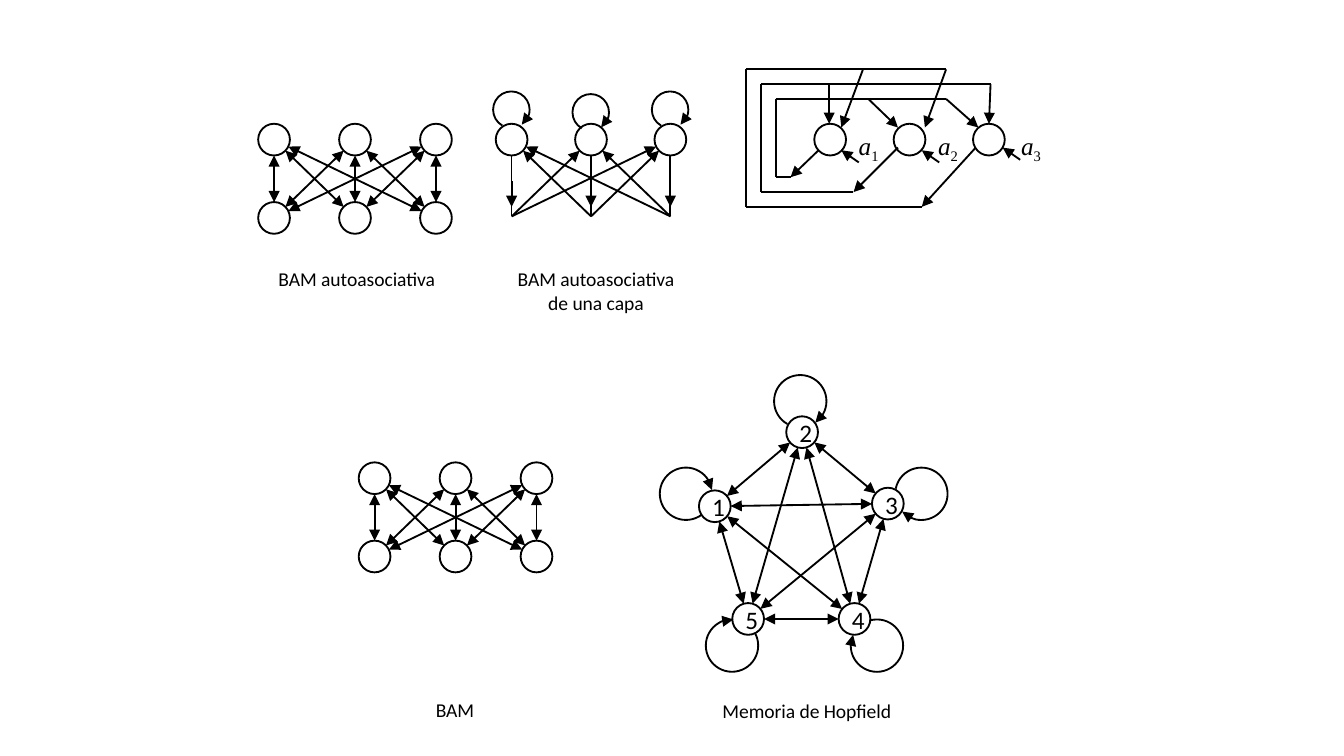
from dataclasses import dataclass
from itertools import combinations, pairwise, product
from math import hypot

from lxml import etree
from pptx import Presentation
from pptx.dml.color import RGBColor
from pptx.enum.shapes import MSO_CONNECTOR, MSO_SHAPE
from pptx.enum.text import MSO_AUTO_SIZE, PP_ALIGN
from pptx.oxml.ns import qn
from pptx.util import Cm, Pt

LINE = MSO_CONNECTOR.STRAIGHT
OVAL = MSO_SHAPE.OVAL
ARC = MSO_SHAPE.ARC
LEFT = PP_ALIGN.LEFT
MID = PP_ALIGN.CENTER
GROW = MSO_AUTO_SIZE.SHAPE_TO_FIT_TEXT

Point = tuple[float, float]


@dataclass(frozen=True)
class Theme:
    ink: RGBColor = RGBColor(0, 0, 0)
    sans: str = "Calibri"
    serif: str = "Times New Roman"
    small: float = 10.5
    large: float = 13.5
    stroke: float = 1
    thin: float = 0.75


@dataclass(frozen=True)
class Node:
    x: float
    y: float
    size: float = 0.6

    @property
    def center(self) -> Point:
        return self.x + self.size / 2, self.y + self.size / 2

    def edge(self, goal: Point) -> Point:
        cx, cy = self.center
        dx, dy = goal[0] - cx, goal[1] - cy
        part = self.size / 2 / hypot(dx, dy)
        return cx + dx * part, cy + dy * part


@dataclass(frozen=True)
class Loop:
    x: float
    y: float
    size: float
    start: float = 71.78
    end: float = 33


@dataclass(frozen=True)
class Label:
    text: str
    x: float
    y: float
    w: float
    h: float
    wrap: bool = False


THEME = Theme()


def ink(shape, width: float, head: bool = False, tail: bool = False) -> None:
    shape.line.color.rgb = THEME.ink
    shape.line.width = Pt(width)
    ln = shape._element.spPr.get_or_add_ln()
    for tag, used in (("a:headEnd", head), ("a:tailEnd", tail)):
        if used:
            etree.SubElement(ln, qn(tag)).set("type", "triangle")


def draw_line(slide, a: Point, b: Point, head: bool = False,
              tail: bool = False, width: float = THEME.stroke) -> None:
    line = slide.shapes.add_connector(LINE, *(Cm(v) for v in (*a, *b)))
    ink(line, width, head, tail)
    etree.SubElement(line._element.spPr, qn("a:effectLst"))


def draw_round(slide, kind, x: float, y: float, size: float, tail: bool = False):
    shape = slide.shapes.add_shape(kind, Cm(x), Cm(y), Cm(size), Cm(size))
    shape.shadow.inherit = False
    shape.fill.background()
    ink(shape, THEME.stroke, tail=tail)
    return shape


def draw_node(slide, node: Node) -> None:
    draw_round(slide, OVAL, node.x, node.y, node.size)


def draw_loop(slide, loop: Loop) -> None:
    arc = draw_round(slide, ARC, loop.x, loop.y, loop.size, tail=True)
    arc.adjustments[0] = loop.start
    arc.adjustments[1] = loop.end


def draw_link(slide, a: Node, b: Node) -> None:
    draw_line(slide, a.edge(b.center), b.edge(a.center), head=True, tail=True)


def write(slide, text: str, *, x: float, y: float, w: float, h: float,
          wrap: bool = False, sub: str = "", font: str = THEME.sans,
          size: float = THEME.small, slant: bool = False, align=MID) -> None:
    frame = slide.shapes.add_textbox(Cm(x), Cm(y), Cm(w), Cm(h)).text_frame
    frame.word_wrap = wrap
    frame.auto_size = GROW
    frame.text = text
    if sub:
        low = frame.paragraphs[0].add_run()
        low.text = sub
        low._r.get_or_add_rPr().set("baseline", "-25000")
    for para in frame.paragraphs:
        para.alignment = align
        for run in para.runs:
            run.font.name = font
            run.font.size = Pt(size)
            run.font.color.rgb = THEME.ink
            run.font.italic = slant and run.text != sub


def make_row(x: float, y: float, step: float) -> list[Node]:
    return [Node(x + i * step, y) for i in range(3)]


def draw_bam(slide, x: float, y: float) -> None:
    top, base = make_row(x, y, 1.53), make_row(x, y + 1.48, 1.53)
    for node in top + base:
        draw_node(slide, node)
    for a, b in product(top, base):
        draw_link(slide, a, b)


def draw_layer(slide) -> None:
    row = make_row(9.37, 2.34, 1.5)
    feet = [(node.center[0], 4.09) for node in row]
    for i, node in enumerate(row):
        x = node.center[0]
        draw_node(slide, node)
        draw_loop(slide, Loop(node.x - 0.05, 1.78 if i == 1 else 1.73, 0.69))
        draw_line(slide, (x, 2.93), feet[i],
                  width=THEME.stroke if i else THEME.thin)
        draw_line(slide, (x, 3.43), (x, 3.91), tail=True)
        for j, foot in enumerate(feet):
            if i != j:
                draw_line(slide, foot, node.edge(foot), tail=True)


def draw_cycle(slide) -> None:
    for i, node in enumerate(make_row(15.39, 2.34, 1.5)):
        draw_node(slide, node)
        x, y = (16.23, 17.75, 19.28)[i], (3.07, 3.07, 3.02)[i]
        draw_line(slide, (x, y), (x - 0.33, y - 0.23), tail=True)
        write(slide, "a", sub=str(i + 1), x=(15.98, 17.48, 19.05)[i], y=2.34,
              w=0.91, h=0.84, font=THEME.serif, size=THEME.large,
              slant=True, align=LEFT)
    ends = ((14.94, 17.88), (16.13, 18.72), (17.42, 17.88))
    for i, (start, end) in enumerate(ends):
        side, low, high = 14.66 - 0.28 * i, 3.35 + 0.28 * i, 1.87 - 0.28 * i
        path = ((start, low), (side, low), (side, high), (end, high))
        for a, b in pairwise(path):
            draw_line(slide, a, b)
    arrows = (
        ((15.47, 2.84), (14.94, 3.35)), ((16.97, 2.79), (16.13, 3.63)),
        ((18.44, 2.79), (17.42, 3.91)), ((16.41, 1.87), (16.97, 2.41)),
        ((17.88, 1.87), (18.49, 2.41)), ((18.72, 1.59), (18.69, 2.34)),
        ((15.67, 1.59), (15.67, 2.34)), ((16.31, 1.31), (15.9, 2.41)),
        ((17.88, 1.31), (17.48, 2.41)),
    )
    for a, b in arrows:
        draw_line(slide, a, b, tail=True)


def draw_star(slide) -> None:
    nodes = (Node(13.21, 9.27), Node(14.86, 7.87), Node(16.48, 9.22),
             Node(15.85, 11.4), Node(13.84, 11.4))
    loops = (Loop(12.47, 8.84, 0.99, 31.61, 210.96), Loop(14.63, 7.09, 0.99),
             Loop(16.92, 8.84, 0.99, 114.75, 82.33),
             Loop(16.08, 11.71, 0.99, 152.35, 122.7),
             Loop(13.34, 11.71, 0.99, 199.7, 163.76))
    for i, (node, loop) in enumerate(zip(nodes, loops), 1):
        draw_node(slide, node)
        draw_loop(slide, loop)
        write(slide, str(i), x=node.x, y=node.y - 0.1, w=0.76, h=0.84,
              size=THEME.large, align=LEFT)
    for a, b in combinations(nodes, 2):
        draw_link(slide, a, b)


def main() -> None:
    deck = Presentation()
    deck.slide_width, deck.slide_height = Cm(25.4), Cm(14.29)
    slide = deck.slides.add_slide(deck.slide_layouts[6])
    draw_bam(slide, 4.88, 2.34)
    draw_layer(slide)
    draw_cycle(slide)
    draw_bam(slide, 6.78, 8.74)
    draw_star(slide)
    labels = (
        Label("BAM autoasociativa", 4.98, 4.93, 3.53, 0.71),
        Label("BAM autoasociativa\nde una capa", 9.5, 4.93, 3.53, 1.14),
        Label("BAM", 7.98, 13.06, 1.24, 0.71),
        Label("Memoria de Hopfield", 12.47, 13.08, 5.56, 0.71, True),
    )
    for tag in labels:
        write(slide, tag.text, x=tag.x, y=tag.y, w=tag.w, h=tag.h, wrap=tag.wrap)
    deck.save("out.pptx")


if __name__ == "__main__":
    main()
